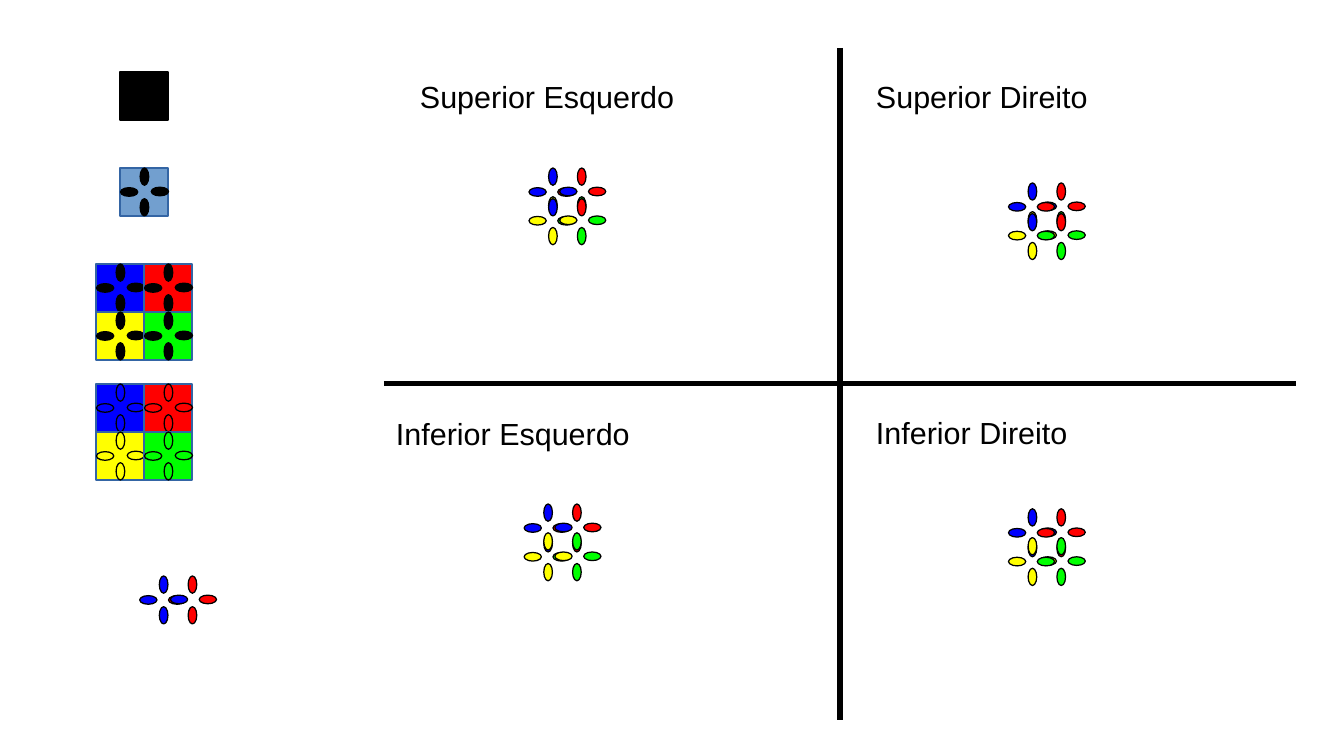
from pptx import Presentation
from pptx import util as u
from pptx.dml.color import RGBColor
from pptx.enum import shapes, text
from pptx.oxml import ns, xmlchemy

SLIDE_WIDTH, SLIDE_HEIGHT = u.Inches(11.02), u.Inches(6.2)
COLUMNS, ROWS = 28, 15.75
PETAL_WIDTH, PETAL_HEIGHT = 0.18, 0.36
PETALS = [(0.51, 0.18, 0), (0.51, 0.82, 0), (0.83, 0.49, 90), (0.19, 0.5, 90)]
BLACK, STEEL, EDGE = "000000", "729FCF", "3465A4"
COLORS = {"blue": "0000FF", "red": "FF0000", "yellow": "FFFF00", "green": "00FF00"}
CELLS = {"blue": (0, 0), "red": (1, 0), "yellow": (0, 1), "green": (1, 1)}
OVERLAP = 0.6


def across(columns):
    """Convert grid columns to a slide length."""
    return round(columns * SLIDE_WIDTH / COLUMNS)


def down(rows):
    """Convert grid rows to a slide length."""
    return round(rows * SLIDE_HEIGHT / ROWS)


def paint(color_format, color):
    """Apply a hex colour to a fill or a line fill."""
    color_format.solid()
    color_format.fore_color.rgb = RGBColor.from_string(color)


def add_figure(slide, kind, left, top, width, height, fill, edge, rotation=0):
    """Add a filled shape with a hairline edge."""
    shape = slide.shapes.add_shape(kind, across(left), down(top), across(width), down(height))
    shape.shadow.inherit = False
    shape.rotation = rotation
    paint(shape.fill, fill)
    paint(shape.line.fill, edge)
    shape.line.width = 0


def add_tile(slide, left, top, fill, edge=EDGE):
    """Add a tile of one grid cell."""
    add_figure(slide, shapes.MSO_SHAPE.RECTANGLE, left, top, 1, 1, fill, edge)


def add_flower(slide, left, top, color):
    """Add four petals within one grid cell."""
    for x, y, rotation in PETALS:
        add_figure(slide, shapes.MSO_SHAPE.OVAL, left + x - PETAL_WIDTH / 2,
                   top + y - PETAL_HEIGHT / 2, PETAL_WIDTH, PETAL_HEIGHT, color, BLACK, rotation)


def add_mosaic(slide, left, top, petal_color=None):
    """Add a two by two block of tiles, each with its flower."""
    for name, (column, row) in CELLS.items():
        add_tile(slide, left + column, top + row, COLORS[name])
        add_flower(slide, left + column, top + row, petal_color or COLORS[name])


def add_cluster(slide, left, top, order):
    """Add overlapping flowers, stacked in the given order."""
    for name in order.split():
        column, row = CELLS[name]
        add_flower(slide, left + column * OVERLAP, top + row * OVERLAP, COLORS[name])


def add_axis(slide, begin, end):
    """Add a thick black line between two grid points."""
    axis = slide.shapes.add_connector(shapes.MSO_CONNECTOR.STRAIGHT, across(begin[0]),
                                      down(begin[1]), across(end[0]), down(end[1]))
    paint(axis.line.fill, BLACK)
    axis.line.width = u.Pt(3)
    axis._element.spPr.append(xmlchemy.OxmlElement("a:effectLst"))


def add_label(slide, left, top, wording):
    """Add the name of a quadrant."""
    frame = slide.shapes.add_textbox(across(left), down(top), across(8.5), down(0.96)).text_frame
    frame.word_wrap = True
    frame.auto_size = text.MSO_AUTO_SIZE.SHAPE_TO_FIT_TEXT
    run = frame.paragraphs[0].add_run()
    run.text = wording
    run.font.name = "Arial"
    run.font.size = u.Pt(18)
    paint(run.font.fill, BLACK)


def add_steps(slide, left, top):
    """Add the column of building steps."""
    add_tile(slide, left + 0.5, top, BLACK, BLACK)
    add_tile(slide, left + 0.5, top + 2, STEEL)
    add_flower(slide, left + 0.5, top + 2, BLACK)
    add_mosaic(slide, left, top + 4, BLACK)
    add_mosaic(slide, left, top + 6.5)
    add_cluster(slide, left + 0.9, top + 10.5, "red blue")


def add_quadrants(slide, left, top, width, height):
    """Add the crossed axes and the four named clusters."""
    middle_x, middle_y = left + width / 2, top + height / 2
    add_axis(slide, (middle_x, top), (middle_x, top + height))
    add_axis(slide, (left, middle_y), (left + width, middle_y))
    quadrants = [
        ("Superior Esquerdo", 0.5, 0.5, 3.01, 2.5, "green red yellow blue"),
        ("Superior Direito", 10, 0.5, 13, 2.81, "yellow green blue red"),
        ("Inferior Esquerdo", 0, 7.53, 2.91, 9.5, "red green blue yellow"),
        ("Inferior Direito", 10, 7.5, 13, 9.6, "blue yellow red green"),
    ]
    for wording, label_x, label_y, cluster_x, cluster_y, order in quadrants:
        add_label(slide, left + label_x, top + label_y, wording)
        add_cluster(slide, left + cluster_x, top + cluster_y, order)


def main():
    """Build and save the slide."""
    presentation = Presentation()
    presentation.slide_width, presentation.slide_height = SLIDE_WIDTH, SLIDE_HEIGHT
    slide = presentation.slides.add_slide(presentation.slide_layouts[6])
    paint(slide.background.fill, "FFFFFF")
    add_steps(slide, left=2, top=1.5)
    add_quadrants(slide, left=8, top=1, width=19, height=14)
    presentation.save("out.pptx")


if __name__ == "__main__":
    main()
